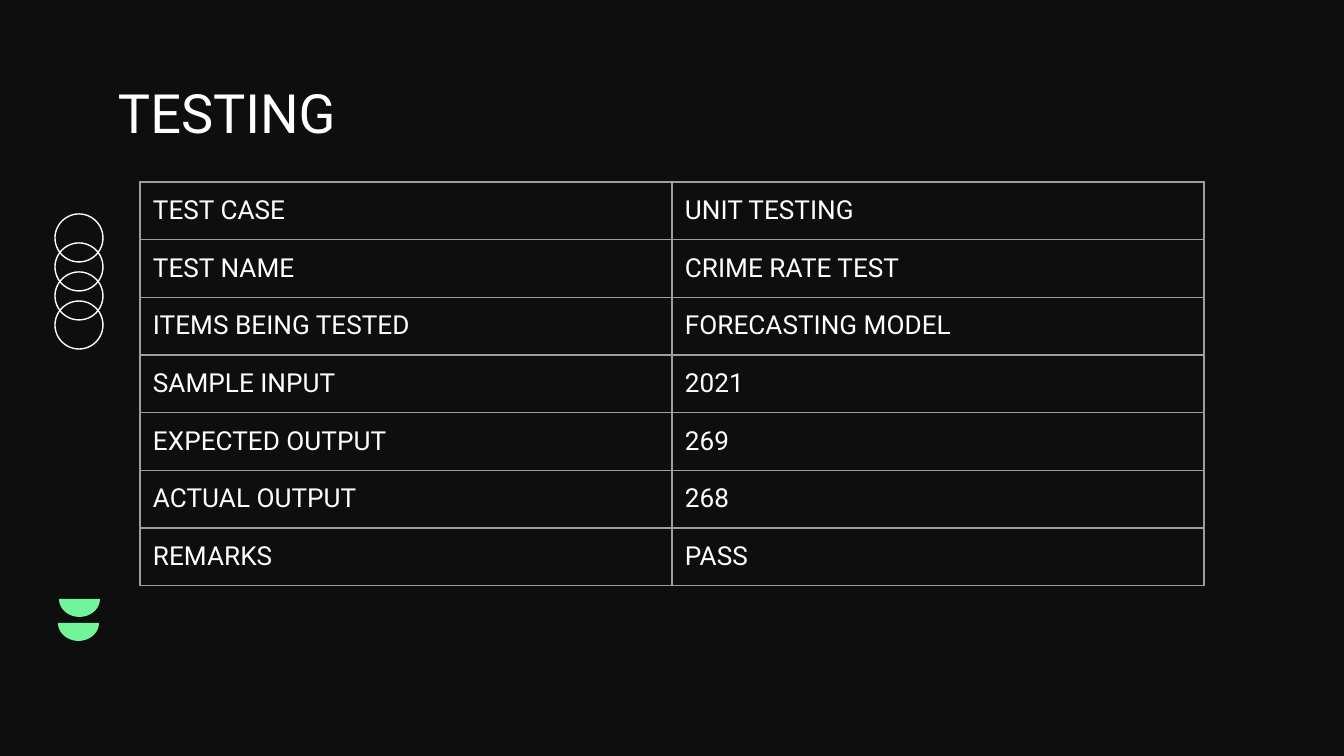
import math

from lxml import etree
from pptx import Presentation
from pptx.dml.color import RGBColor
from pptx.enum.shapes import MSO_SHAPE
from pptx.enum.text import MSO_ANCHOR
from pptx.oxml.ns import qn
from pptx.util import Emu, Pt

OVAL = MSO_SHAPE.OVAL
TOP = MSO_ANCHOR.TOP
PX = 914400 / 134.4
FONT = "Roboto"
WHITE, BLACK, GREEN, GREY = "FFFFFF", "0E0E0E", "72F49A", "9E9E9E"
INSET = 13
ROWS = [
    ("TEST CASE", "UNIT TESTING"),
    ("TEST NAME", "CRIME RATE TEST"),
    ("ITEMS BEING TESTED", "FORECASTING MODEL"),
    ("SAMPLE INPUT", "2021"),
    ("EXPECTED OUTPUT", "269"),
    ("ACTUAL OUTPUT", "268"),
    ("REMARKS", "PASS"),
]


def px(length):
    """Turn pixels into EMU."""
    return Emu(round(length * PX))


def paint(color_format, color):
    """Set a fill or font colour from a hex string."""
    color_format.rgb = RGBColor.from_string(color)


def fill(item, color):
    """Give a shape or background a solid fill."""
    item.fill.solid()
    paint(item.fill.fore_color, color)


def style_text(para, size):
    """Format the runs of a paragraph."""
    for span in para.runs:
        span.font.name = FONT
        span.font.size = Pt(size)
        paint(span.font.color, WHITE)


def border_cell(cell, color):
    """Draw a thin line on all four sides of a cell."""
    properties = cell._tc.get_or_add_tcPr()
    for position, side in enumerate(("a:lnL", "a:lnR", "a:lnT", "a:lnB")):
        line = etree.Element(qn(side), w=str(Pt(0.75)))
        solid = etree.SubElement(line, qn("a:solidFill"))
        etree.SubElement(solid, qn("a:srgbClr"), val=color)
        properties.insert(position, line)


def add_circles(page, left, top, size, step, count):
    """Stack overlapping outlined circles downwards."""
    for index in range(count):
        circle = page.shapes.add_shape(
            OVAL, px(left), px(top + index * step), px(size), px(size))
        circle.shadow.inherit = False
        circle.fill.background()
        circle.line.width = Pt(0.75)
        paint(circle.line.color, WHITE)


def add_bowl(page, left, top, width, height, steps=32):
    """Draw a filled half disc with its flat side up."""
    angles = [math.pi * step / steps for step in range(steps + 1)]
    points = [(px(left + width / 2 * (1 - math.cos(angle))),
               px(top + height * math.sin(angle))) for angle in angles]
    builder = page.shapes.build_freeform(*points[0])
    builder.add_line_segments(points[1:], close=True)
    bowl = builder.convert_to_shape()
    bowl.shadow.inherit = False
    fill(bowl, GREEN)
    bowl.line.fill.background()


def add_title(page, left, top, width, height):
    """Place the slide heading."""
    box = page.shapes.add_textbox(px(left), px(top), px(width), px(height))
    frame = box.text_frame
    frame.word_wrap = True
    frame.vertical_anchor = TOP
    frame.margin_left = frame.margin_right = frame.margin_bottom = px(INSET)
    frame.margin_top = 0
    frame.text = "TESTING"
    style_text(frame.paragraphs[0], 29)


def add_results(page, left, top, width, height):
    """Place the table of test details."""
    table = page.shapes.add_table(
        len(ROWS), 2, px(left), px(top), px(width), px(height)).table
    table.first_row = table.horz_banding = False
    for row, values in zip(table.rows, ROWS):
        row.height = px(height / len(ROWS))
        for cell, value in zip(row.cells, values):
            cell.text = value
            cell.margin_left = cell.margin_right = px(INSET)
            cell.margin_top = cell.margin_bottom = px(INSET)
            cell.vertical_anchor = TOP
            fill(cell, BLACK)
            border_cell(cell, GREY)
            style_text(cell.text_frame.paragraphs[0], 14)


def main():
    """Build and save the deck."""
    deck = Presentation()
    deck.slide_width, deck.slide_height = px(1344), px(756)
    page = deck.slides.add_slide(deck.slide_layouts[6])
    fill(page.background, BLACK)
    add_bowl(page, 58, 623, 41, 18)
    add_bowl(page, 59, 599, 41, 18)
    add_circles(page, 55, 214, 48, 29, 4)
    add_title(page, 105, 79, 1134, 62)
    add_results(page, 140, 182, 1064, 404)
    deck.save("out.pptx")


if __name__ == "__main__":
    main()
